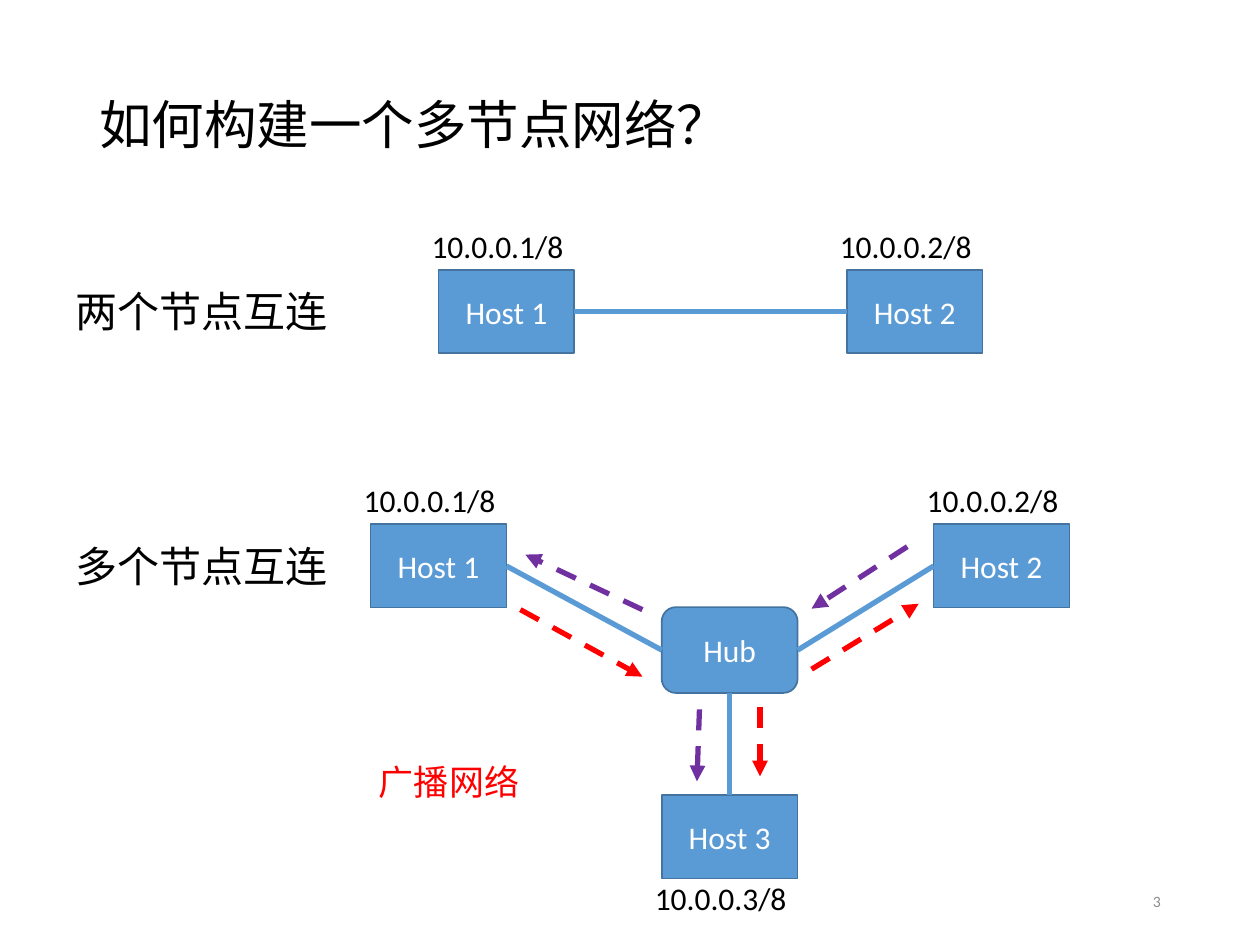
from pptx import Presentation
from pptx.util import Cm, Pt
from pptx.dml.color import RGBColor
from pptx.enum.dml import MSO_LINE
from pptx.enum.shapes import MSO_CONNECTOR, MSO_SHAPE
from pptx.enum.text import MSO_ANCHOR, MSO_AUTO_SIZE, PP_ALIGN
from lxml.etree import SubElement
from pptx.oxml.ns import qn

FONT = "Calibri"
BLUE, EDGE, RED, PURPLE = "5B9BD5", "43739E", "FF0000", "7030A0"
BLACK, WHITE, GREY = "000000", "FFFFFF", "8C8C8C"
NODE_W, HOST_H, HUB_H = 2.74, 1.68, 1.73
ABOVE, BELOW = -0.99, 1.57
LEFT, BOTTOM, RIGHT, TOP = 1, 2, 3, 0

TITLE = "如何构建一个多节点网络？"
HOSTS = {
    "pair 1": ("Host 1", "10.0.0.1/8", 8.84, 5.44, ABOVE),
    "pair 2": ("Host 2", "10.0.0.2/8", 17.07, 5.44, ABOVE),
    "star 1": ("Host 1", "10.0.0.1/8", 7.47, 10.57, ABOVE),
    "star 2": ("Host 2", "10.0.0.2/8", 18.82, 10.57, ABOVE),
    "star 3": ("Host 3", "10.0.0.3/8", 13.34, 16.03, BELOW),
}
LINKS = [
    ("pair 2", LEFT, "pair 1", RIGHT),
    ("star 1", RIGHT, "hub", LEFT),
    ("hub", RIGHT, "star 2", LEFT),
    ("hub", BOTTOM, "star 3", TOP),
]
ARROWS = [
    (RED, 10.49, 12.29, 12.95, 13.64),
    (RED, 16.36, 13.49, 18.52, 12.17),
    (RED, 15.32, 14.25, 15.32, 15.65),
    (PURPLE, 18.29, 11.02, 16.36, 12.27),
    (PURPLE, 14.1, 14.3, 14.05, 15.75),
    (PURPLE, 12.95, 12.29, 10.59, 11.18),
]
CAPTIONS = [
    ("两个节点互连", 1.27, 5.64, 5.64, 1.27, 24, BLACK),
    ("多个节点互连", 1.27, 10.77, 5.64, 1.27, 24, BLACK),
    ("广播网络", 7.39, 15.21, 3.35, 1.12, 20, RED),
]


def color(value):
    return RGBColor.from_string(value)


def write(shape, text, size, ink, align=PP_ALIGN.LEFT, anchor=MSO_ANCHOR.TOP):
    frame = shape.text_frame
    frame.vertical_anchor = anchor
    para = frame.paragraphs[0]
    para.text = text
    para.alignment = align
    para.font.name = FONT
    para.font.size = Pt(size)
    para.font.color.rgb = color(ink)
    return para


def add_text(text, x, y, w, h, size, ink, wrap=False, **layout):
    box = page.shapes.add_textbox(Cm(x), Cm(y), Cm(w), Cm(h))
    box.text_frame.word_wrap = wrap
    if not wrap:
        box.text_frame.auto_size = MSO_AUTO_SIZE.SHAPE_TO_FIT_TEXT
    return write(box, text, size, ink, **layout)


def add_node(kind, text, x, y, h):
    node = page.shapes.add_shape(kind, Cm(x), Cm(y), Cm(NODE_W), Cm(h))
    node.shadow.inherit = False
    node.fill.solid()
    node.fill.fore_color.rgb = color(BLUE)
    node.line.color.rgb = color(EDGE)
    node.line.width = Pt(1)
    write(node, text, 18, WHITE, PP_ALIGN.CENTER, MSO_ANCHOR.MIDDLE)
    return node


def add_line(ink, x1=0, y1=0, x2=0, y2=0):
    line = page.shapes.add_connector(
        MSO_CONNECTOR.STRAIGHT, Cm(x1), Cm(y1), Cm(x2), Cm(y2))
    line.line.color.rgb = color(ink)
    line.line.width = Pt(3)
    SubElement(line._element.spPr, qn("a:effectLst"))
    return line


deck = Presentation()
deck.slide_width, deck.slide_height = Cm(25.4), Cm(19.05)
page = deck.slides.add_slide(deck.slide_layouts[6])

title = add_text(TITLE, 1.75, 1.02, 21.9, 3.12, 30, BLACK,
                 wrap=True, anchor=MSO_ANCHOR.MIDDLE)
title.line_spacing = 0.9

nodes = {}
for key, (name, address, x, y, offset) in HOSTS.items():
    nodes[key] = add_node(MSO_SHAPE.RECTANGLE, name, x, y, HOST_H)
    add_text(address, x - 0.39, y + offset, 3.2, 1.02, 18, BLACK)
nodes["hub"] = add_node(MSO_SHAPE.ROUNDED_RECTANGLE, "Hub", 13.34, 12.24, HUB_H)

for start, start_side, end, end_side in LINKS:
    link = add_line(BLUE)
    link.begin_connect(nodes[start], start_side)
    link.end_connect(nodes[end], end_side)

for arrow in ARROWS:
    flow = add_line(*arrow)
    flow.line.dash_style = MSO_LINE.DASH
    SubElement(flow.line._get_or_add_ln(), qn("a:tailEnd"), type="triangle")

for caption in CAPTIONS:
    add_text(*caption)

add_text("3", 17.93, 17.65, 5.72, 1.02, 9, GREY, wrap=True,
         align=PP_ALIGN.RIGHT, anchor=MSO_ANCHOR.MIDDLE)

deck.save("out.pptx")
